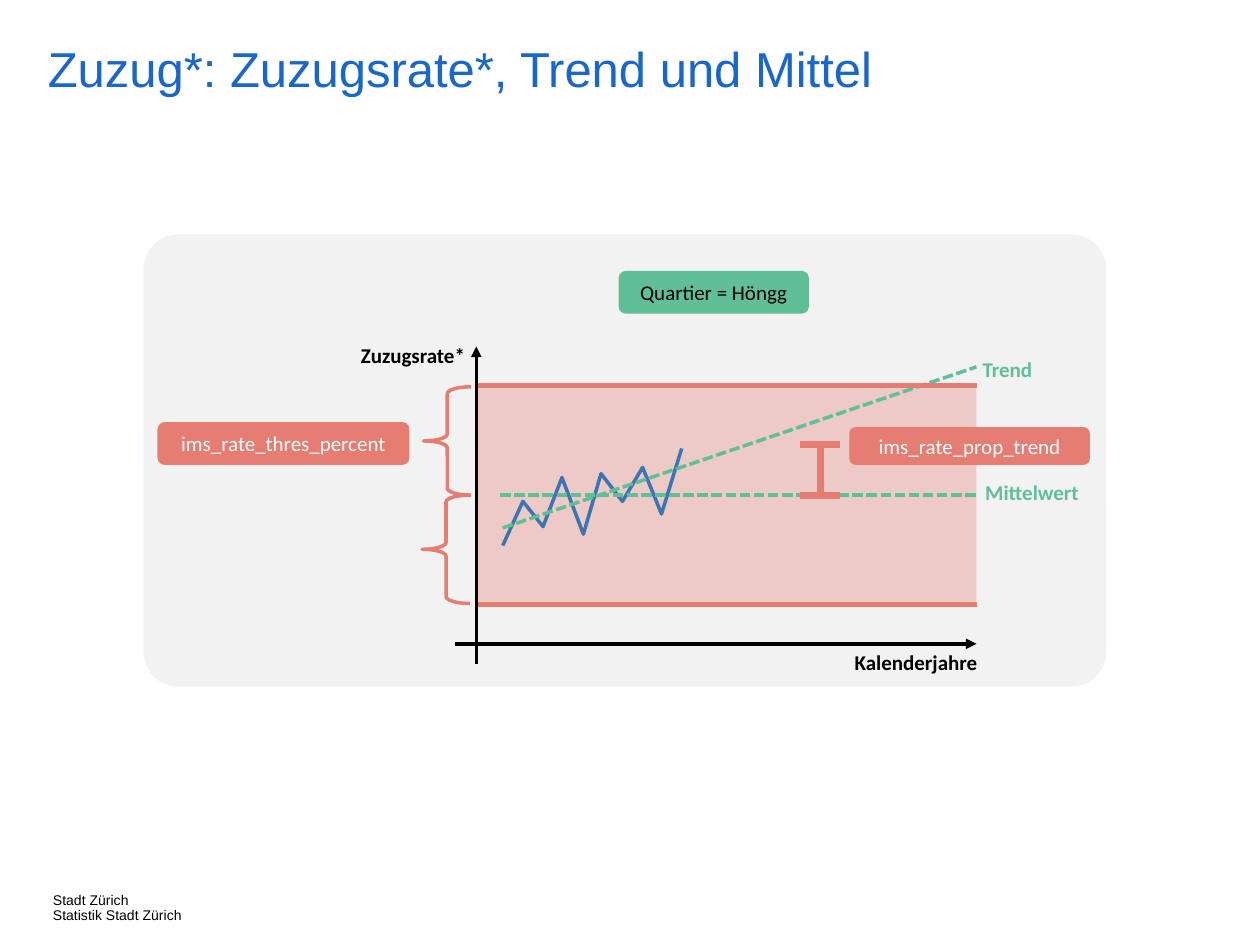
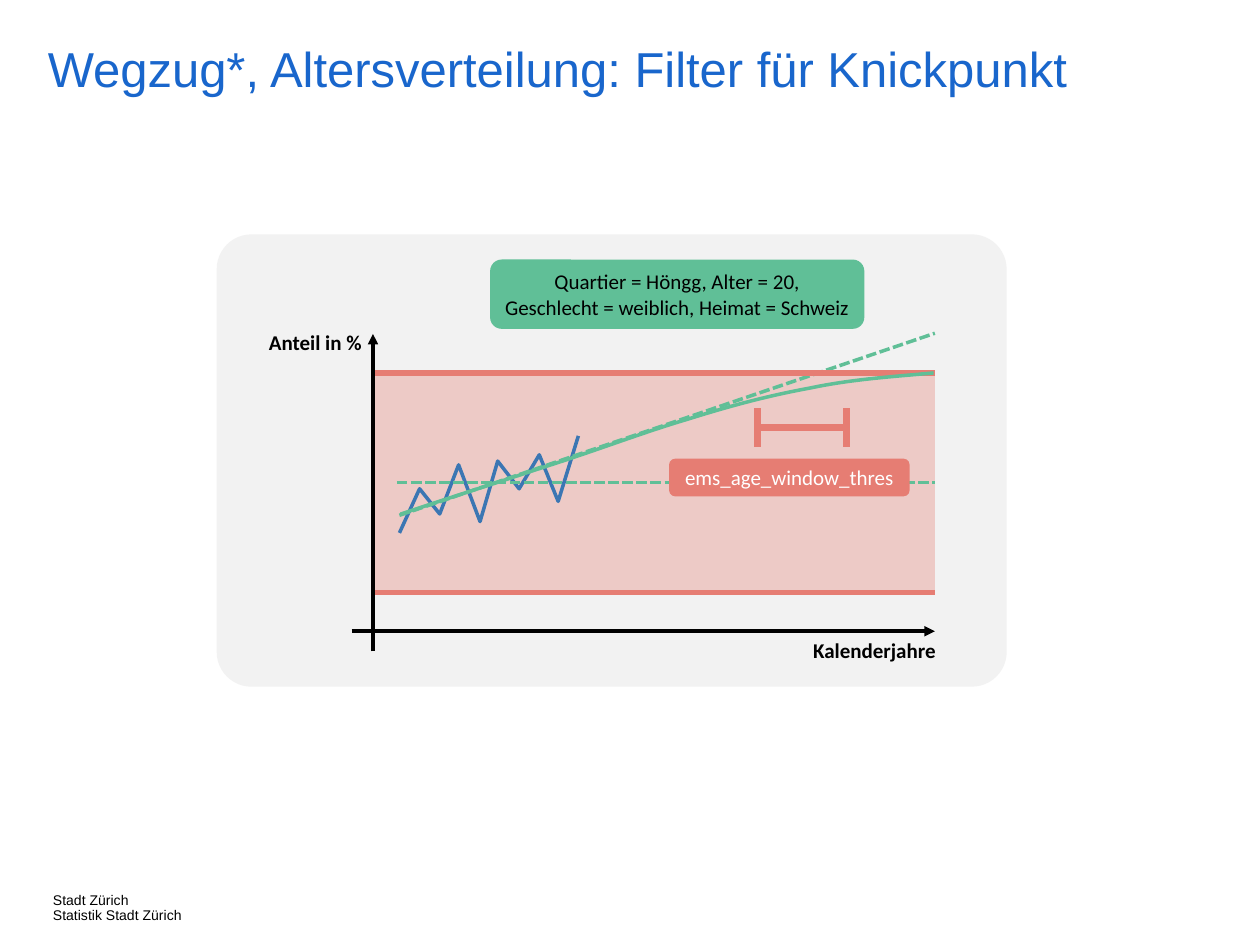
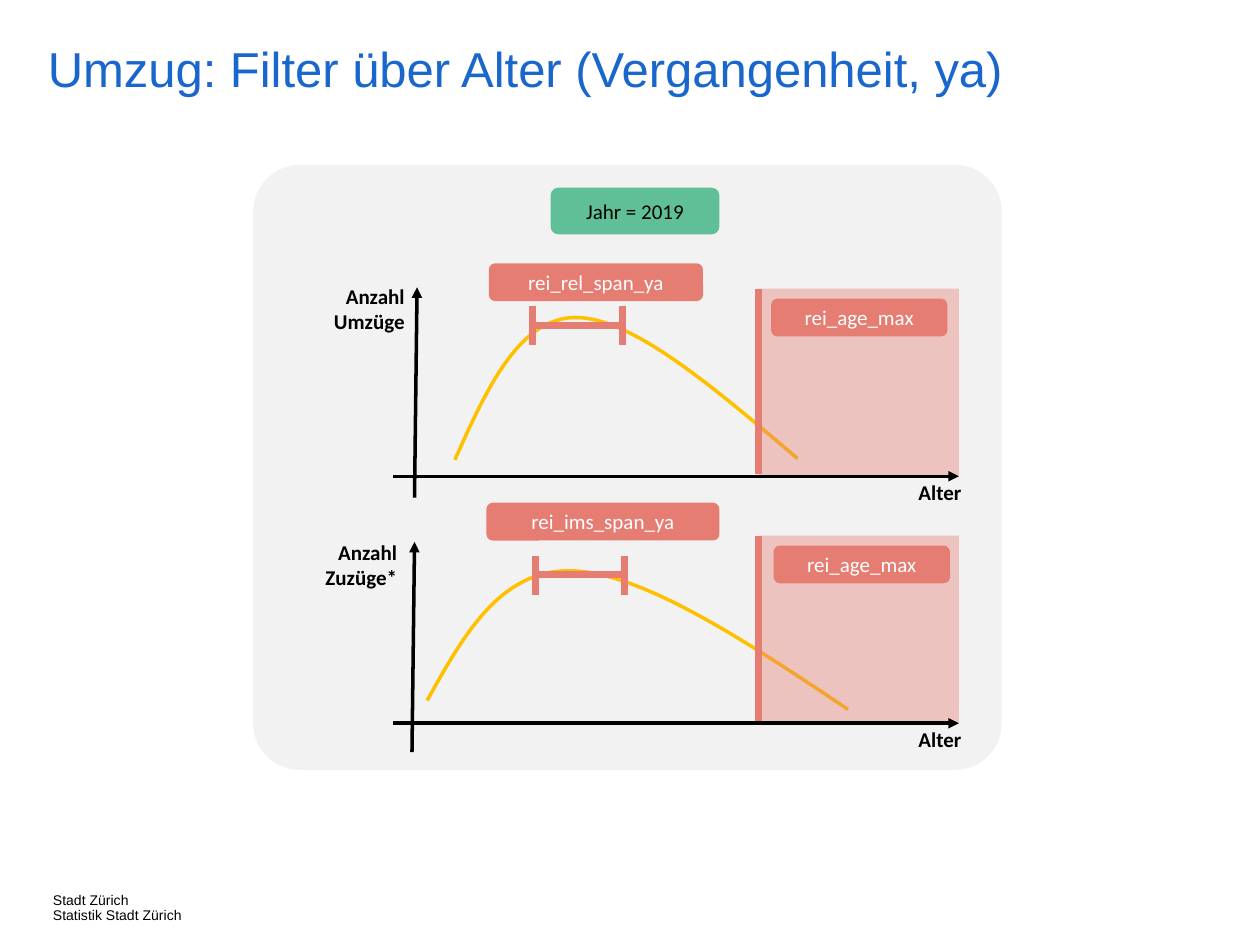
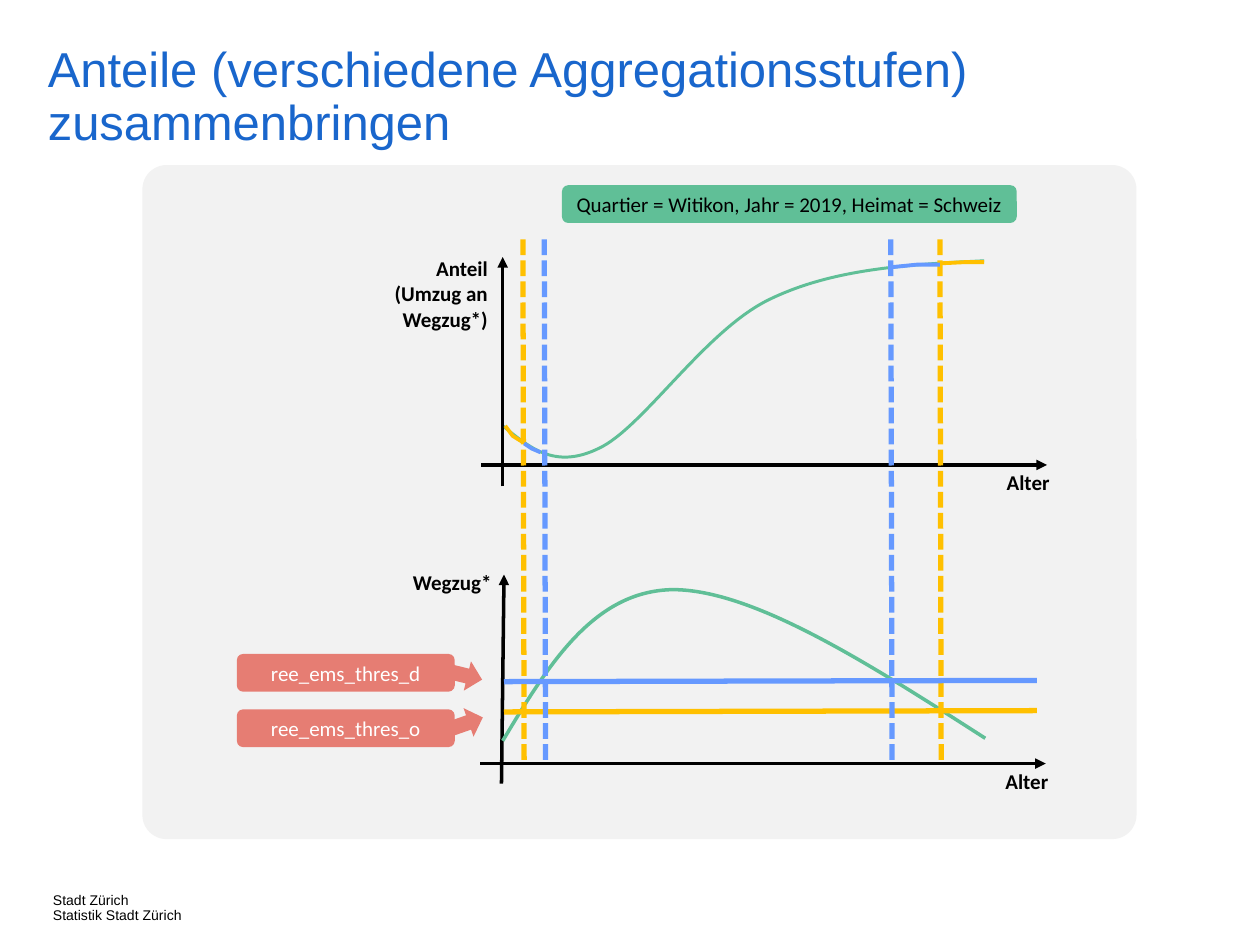
"""Build four slides that explain the filters of the migration model."""
from lxml import etree
from pptx import Presentation
from pptx.dml.color import RGBColor
from pptx.enum import dml, shapes, text
from pptx.oxml import ns
from pptx.util import Inches, Pt

TITLE_BLUE = RGBColor(0x19, 0x66, 0xCC)
BLACK = RGBColor(0, 0, 0)
WHITE = RGBColor(0xFF, 0xFF, 0xFF)
PANEL_GREY = RGBColor(0xF2, 0xF2, 0xF2)
RED = RGBColor(0xE6, 0x7D, 0x73)
GREEN = RGBColor(0x60, 0xBF, 0x97)
DATA_BLUE = RGBColor(0x3B, 0x76, 0xB3)
LIGHT_BLUE = RGBColor(0x66, 0x99, 0xFF)
YELLOW = RGBColor(0xFF, 0xC0, 0x00)

KIND = shapes.MSO_SHAPE
ALIGN = text.PP_ALIGN


def add_stroke(page, points, color, width=2, dashed=False, arrow=False, curved=False):
    """Draw a connector for two points, else an open outline; curved points are Bezier triples."""
    spots = [(Inches(x), Inches(y)) for x, y in points]
    if len(spots) == 2:
        stroke = page.shapes.add_connector(shapes.MSO_CONNECTOR.STRAIGHT, *spots[0], *spots[1])
        etree.SubElement(stroke.element.spPr, ns.qn("a:effectLst"))
    else:
        builder = page.shapes.build_freeform(*spots[0])
        builder.add_line_segments(spots[1:], close=False)
        stroke = builder.convert_to_shape()
        stroke.shadow.inherit = False
        stroke.fill.background()
    if curved:
        steps = stroke.element.xpath(".//a:lnTo")
        for first in range(0, len(steps), 3):
            bezier = etree.Element(ns.qn("a:cubicBezTo"))
            steps[first].addprevious(bezier)
            for step in steps[first:first + 3]:
                bezier.append(step[0])
                step.getparent().remove(step)
    stroke.line.color.rgb = color
    stroke.line.width = Pt(width)
    if dashed:
        stroke.line.dash_style = dml.MSO_LINE.SQUARE_DOT
    if arrow:
        etree.SubElement(stroke.line._get_or_add_ln(), ns.qn("a:tailEnd"), type="triangle")
    return stroke


def add_block(page, at, kind=None, fill=None, opacity=100, label="", color=BLACK, bold=False,
              align=ALIGN.CENTER):
    """Add a borderless preset shape, or a text box if no kind is given, with an optional label."""
    frame = [Inches(length) for length in at]
    if kind is None:
        block = page.shapes.add_textbox(*frame)
    else:
        block = page.shapes.add_shape(kind, *frame)
        block.shadow.inherit = False
        block.line.fill.background()
        block.text_frame.vertical_anchor = text.MSO_ANCHOR.MIDDLE
        if fill is None:
            block.fill.background()
        else:
            block.fill.solid()
            block.fill.fore_color.rgb = fill
    if opacity < 100:
        tint = block.element.xpath("./p:spPr/a:solidFill/a:srgbClr")[0]
        etree.SubElement(tint, ns.qn("a:alpha"), val=str(opacity * 1000))
    if label:
        block.text_frame.word_wrap = kind is None
        para = block.text_frame.paragraphs[0]
        para.text = label
        para.alignment = align
        for span in para.runs:
            span.font.name = "Calibri"
            span.font.size = Pt(12)
            span.font.bold = bold
            span.font.color.rgb = color
    return block


deck = Presentation()
deck.slide_width, deck.slide_height = Inches(10), Inches(7.5)

pages = []
for title, panel_at, rounding in [
    ("Zuzug*: Zuzugsrate*, Trend und Mittel", (1.14, 1.86, 7.64, 3.59), 0.077),
    ("Wegzug*, Altersverteilung: Filter für Knickpunkt", (1.72, 1.86, 6.27, 3.59), 0.077),
    ("Umzug: Filter über Alter (Vergangenheit, ya)", (2.01, 1.31, 5.94, 4.8), 0.077),
    ("Anteile (verschiedene Aggregationsstufen) zusammenbringen", (1.13, 1.31, 7.89, 5.35), 0.036),
]:
    page = deck.slides.add_slide(deck.slide_layouts[6])
    pages.append(page)
    panel = add_block(page, panel_at, KIND.ROUNDED_RECTANGLE, PANEL_GREY)
    panel.adjustments[0] = rounding
    for at, words, size, color, wrap in [
        ((0.38, 0.36, 8.4, 0.64), title, 28, TITLE_BLUE, True),
        ((0.42, 7.09, 1.31, 0.2), "Stadt Zürich\nStatistik Stadt Zürich", 8, BLACK, False),
    ]:
        box = page.shapes.add_textbox(*[Inches(length) for length in at])
        frame = box.text_frame
        frame.margin_left = frame.margin_right = frame.margin_top = frame.margin_bottom = 0
        frame.word_wrap = wrap
        frame.text = words
        for para in frame.paragraphs:
            para.line_spacing = 0.9
            para.font.name = "Arial"
            para.font.size = Pt(size)
            para.font.color.rgb = color
rate_page, age_page, move_page, share_page = pages

# Offsets of the yearly values from the top left corner of the tolerance band
yearly_values = [(0.21, 1.27), (0.37, 0.92), (0.53, 1.12), (0.68, 0.73), (0.85, 1.18),
                 (0.99, 0.7), (1.16, 0.92), (1.32, 0.65), (1.47, 1.02), (1.63, 0.5)]
band_height = 1.74
trend_slope = 0.34
for page, left, top, width, axis_name in [
    (rate_page, 3.78, 3.06, 3.97, "Zuzugsrate*"),
    (age_page, 2.96, 2.96, 4.46, "Anteil in %"),
]:
    right, bottom, middle = left + width, top + band_height, top + band_height / 2
    band = add_block(page, (left, top, width, band_height), KIND.RECTANGLE, RED, 34)
    add_stroke(page, [(left - 0.17, top + 2.05), (right, top + 2.05)], BLACK, arrow=True)
    add_block(page, (right - 1.1, top + 2.05, 1.24, 0.3), label="Kalenderjahre", bold=True)
    add_block(page, (left - 1.23, top - 0.39, 1.24, 0.3), label=axis_name, bold=True,
              align=ALIGN.RIGHT)
    add_stroke(page, [(left + x, top + y) for x, y in yearly_values], DATA_BLUE)
    mean = add_stroke(page, [(left + 0.19, middle), (right, middle)], GREEN, dashed=True)
    mean.end_connect(band, 3)
    trend_start = (left + 0.21, top + 1.13)
    trend_end = (right, trend_start[1] - trend_slope * (right - trend_start[0]))
    add_stroke(page, [trend_start, trend_end], GREEN, dashed=True)
    for y in (top, bottom):
        add_stroke(page, [(left, y), (right, y)], RED, 3)
    add_stroke(page, [(left, top + 2.21), (left, top - 0.31)], BLACK, arrow=True)

for name, at in [("Mittelwert", (7.42, 3.76, 1.24, 0.3)), ("Trend", (7.55, 2.78, 0.74, 0.3))]:
    add_block(rate_page, at, label=name, color=GREEN, bold=True, align=ALIGN.RIGHT)
for x, y in [(3.36, 3.07), (3.35, 3.93)]:
    brace = add_block(rate_page, (x, y, 0.38, 0.86), KIND.LEFT_BRACE)
    brace.adjustments[0] = 0.142
    brace.line.color.rgb = RED
    brace.line.width = Pt(2)
add_stroke(rate_page, [(6.51, 3.53), (6.51, 3.93)], RED, 4)
for y in (3.53, 3.93):
    add_stroke(rate_page, [(6.35, y), (6.67, y)], RED, 4)

add_stroke(age_page, [(3.18, 4.08), (3.57, 3.95), (3.95, 3.83), (4.34, 3.7),
                      (4.72, 3.58), (5.11, 3.43), (5.45, 3.33),
                      (5.8, 3.22), (6.1, 3.14), (6.43, 3.08),
                      (6.76, 3.01), (7.08, 2.99), (7.41, 2.96)], GREEN, curved=True)

for axis_y, axis_name, name_at, y_axis, curve in [
    (3.78, "Anzahl\vUmzüge", (2.07, 2.2, 1.24, 0.5), [(3.29, 3.95), (3.31, 2.28)],
     [(3.61, 3.65), (3.86, 3.09), (4.12, 2.52), (4.57, 2.52),
      (5.02, 2.52), (5.67, 3.08), (6.33, 3.64)]),
    (5.74, "Anzahl\vZuzüge*", (2.01, 4.23, 1.24, 0.5), [(3.27, 5.97), (3.29, 4.3)],
     [(3.39, 5.56), (3.68, 5.04), (3.97, 4.52), (4.53, 4.53),
      (5.09, 4.54), (5.91, 5.08), (6.73, 5.63)]),
]:
    add_stroke(move_page, curve, YELLOW, curved=True)
    add_block(move_page, name_at, label=axis_name, bold=True, align=ALIGN.RIGHT)
    add_block(move_page, (6.84, axis_y - 0.02, 1.24, 0.3), label="Alter", bold=True)
    add_stroke(move_page, y_axis, BLACK, arrow=True)
    add_block(move_page, (6.02, axis_y - 1.49, 1.59, 1.49), KIND.RECTANGLE, RED, 40)
    add_stroke(move_page, [(6.02, axis_y - 1.49), (6.02, axis_y - 0.02)], RED, 4)
    add_stroke(move_page, [(3.12, axis_y), (7.61, axis_y)], BLACK, arrow=True)

span_width = 0.71
for page, left, y in [(age_page, 6.01, 3.39), (move_page, 4.23, 2.58), (move_page, 4.25, 4.56)]:
    add_stroke(page, [(left, y), (left + span_width, y)], RED, 4)
    for x in (left, left + span_width):
        add_stroke(page, [(x, y - 0.15), (x, y + 0.16)], RED, 4)

add_stroke(share_page, [(3.99, 3.38), (4.2, 3.55), (4.4, 3.73), (4.75, 3.56),
                        (5.1, 3.4), (5.59, 2.63), (6.1, 2.38),
                        (6.61, 2.13), (7.21, 2.1), (7.81, 2.07)], GREEN, 1.7, curved=True)
for axis_y, left, y_axis, axis_name, name_at in [
    (3.69, 3.82, [(3.99, 3.86), (3.99, 2.04)], "Anteil\v(Umzug an\vWegzug*)", (2.73, 1.98, 1.24, 0.71)),
    (6.06, 3.81, [(3.98, 6.22), (4, 4.56)], "Wegzug*", (2.15, 4.47, 1.85, 0.3)),
]:
    add_stroke(share_page, [(left, axis_y), (left + 4.49, axis_y)], BLACK, arrow=True)
    add_stroke(share_page, y_axis, BLACK, arrow=True)
    add_block(share_page, (left + 3.72, axis_y - 0.01, 1.24, 0.3), label="Alter", bold=True)
    add_block(share_page, name_at, label=axis_name, bold=True, align=ALIGN.RIGHT)
add_stroke(share_page, [(3.99, 5.88), (4.35, 5.28), (4.71, 4.69), (5.34, 4.68),
                        (5.98, 4.68), (6.9, 5.27), (7.82, 5.86)], GREEN, curved=True)
for color, threshold_y, cut_xs, sections in [
    (YELLOW, 5.65, (4.15, 7.46), [[(4.01, 3.38), (4.07, 3.46), (4.15, 3.51)],
                                  [(7.47, 2.09), (7.67, 2.08), (7.81, 2.08)]]),
    (LIGHT_BLUE, 5.41, (4.32, 7.07), [[(4.16, 3.52), (4.22, 3.56), (4.29, 3.59)],
                                      [(7.08, 2.12), (7.28, 2.1), (7.46, 2.1)]]),
]:
    add_stroke(share_page, [(4, threshold_y), (8.23, threshold_y - 0.01)], color, 3)
    for section in sections:
        add_stroke(share_page, section, color, 2.2)
    for x in cut_xs:
        add_stroke(share_page, [(x, 1.9), (x + 0.01, 6.07)], color, 3, dashed=True)
for x, y, turn in [(3.58, 5.6, 250.7), (3.57, 5.22, 283.8)]:
    pointer = add_block(share_page, (x, y, 0.24, 0.28), KIND.DOWN_ARROW, RED)
    pointer.rotation = turn

for page, name, at in [
    (rate_page, "ims_rate_thres_percent", (1.25, 3.35, 2, 0.34)),
    (rate_page, "ims_rate_prop_trend", (6.74, 3.39, 1.91, 0.3)),
    (age_page, "ems_age_window_thres", (5.31, 3.64, 1.91, 0.3)),
    (move_page, "rei_rel_span_ya", (3.88, 2.09, 1.7, 0.3)),
    (move_page, "rei_ims_span_ya", (3.86, 3.99, 1.85, 0.3)),
    (move_page, "rei_age_max", (6.12, 2.37, 1.4, 0.3)),
    (move_page, "rei_age_max", (6.14, 4.33, 1.4, 0.3)),
    (share_page, "ree_ems_thres_d", (1.88, 5.19, 1.73, 0.3)),
    (share_page, "ree_ems_thres_o", (1.88, 5.63, 1.73, 0.3)),
]:
    add_block(page, at, KIND.ROUNDED_RECTANGLE, RED, label=name, color=WHITE)
for page, selection, at in [
    (rate_page, "Quartier = Höngg", (4.91, 2.15, 1.51, 0.34)),
    (age_page, "Quartier = Höngg, Alter = 20,\vGeschlecht = weiblich, Heimat = Schweiz",
     (3.89, 2.06, 2.97, 0.55)),
    (move_page, "Jahr = 2019", (4.37, 1.49, 1.34, 0.37)),
    (share_page, "Quartier = Witikon, Jahr = 2019, Heimat = Schweiz", (4.46, 1.47, 3.61, 0.3)),
]:
    add_block(page, at, KIND.ROUNDED_RECTANGLE, GREEN, label=selection)

deck.save("out.pptx")
